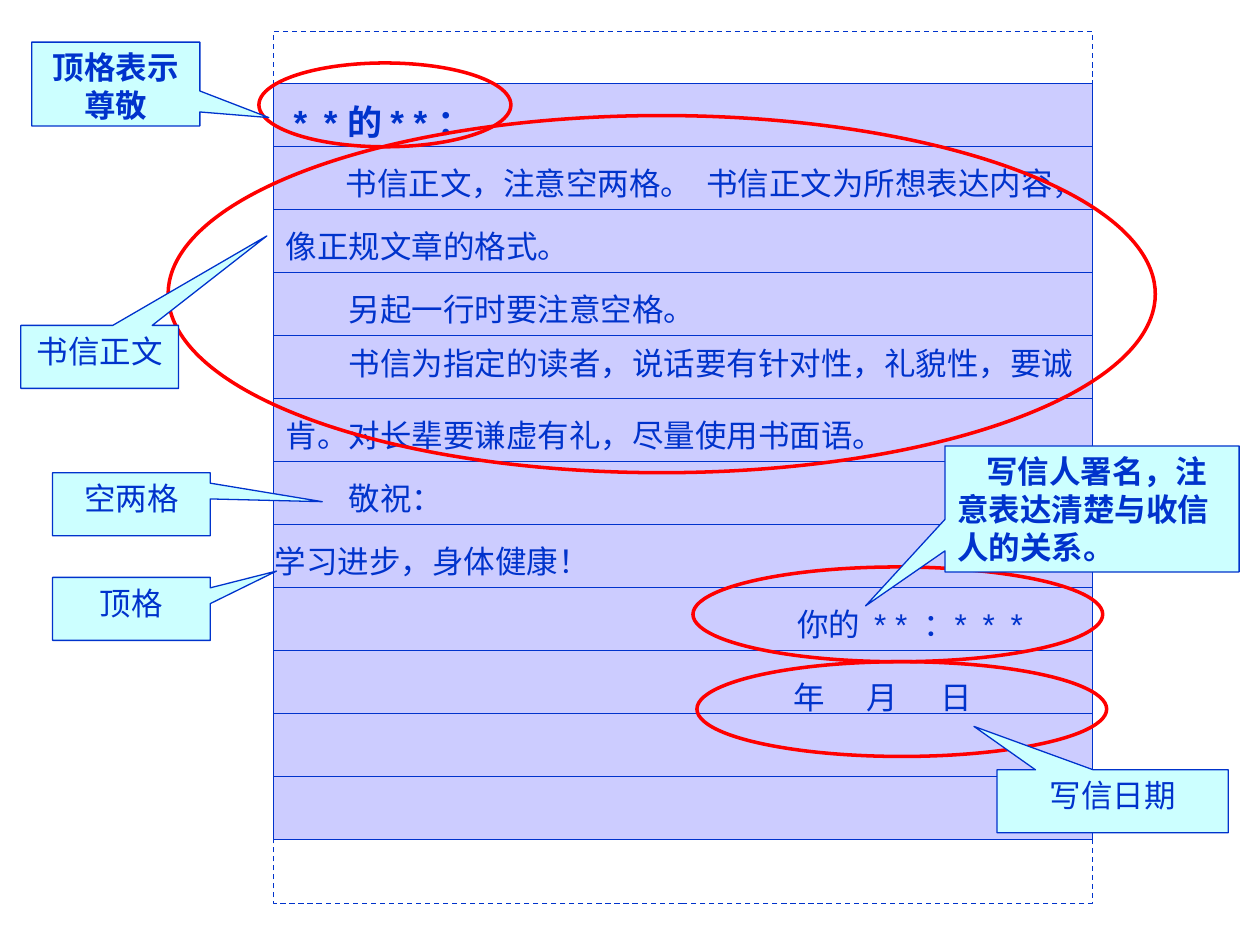
from itertools import zip_longest

from pptx import Presentation
from pptx.dml.color import RGBColor
from pptx.enum.dml import MSO_LINE_DASH_STYLE as Dash
from pptx.enum.shapes import MSO_SHAPE as Shape
from pptx.enum.text import MSO_ANCHOR as Anchor, MSO_AUTO_SIZE as AutoSize, PP_ALIGN as Align
from pptx.util import Cm, Pt

BLUE, RED, WHITE = "0033CC", "FF0000", "FFFFFF"
LILAC, CYAN = "CCCCFF", "CCFFFF"
PAPER_LEFT, PAPER_WIDTH = 5.51, 16.51
ROW_TOP, ROW_HEIGHT, ROW_COUNT = 1.69, 1.27, 12

# Letter lines: text, left, top, width, first-line indent (cm),
# then the extra width of each gap between words (pt)
LETTER_LINES = [
    ("书信正文，注意空两格。 书信正文为所想表达内容，", 6.14, 3.18, 15.98, 0.58, (4,)),
    ("像正规文章的格式。", 5.51, 4.45, 15.24, 0, ()),
    ("另起一行时要注意空格。", 6.35, 5.72, 15.24, 0.43, ()),
    ("书信为指定的读者，说话要有针对性，礼貌性，要诚", 6.35, 6.81, 16.36, 0.43, ()),
    ("肯。对长辈要谦虚有礼，尽量使用书面语。", 5.51, 8.26, 16.51, 0, ()),
    ("敬祝：", 6.35, 9.53, 3.38, 0.43, ()),
    ("学习进步，身体健康！", 5.29, 10.8, 7.62, 0, ()),
    ("你的 * * ：* * *", 15.82, 12.07, 6.27, 0, (4, 0, 4, 4, 4)),
    ("年 月 日", 14.61, 13.55, 7.29, 1.13, (20, 20)),
]

# Red rings: left, top, width, height (cm)
RINGS = [
    (5.22, 1.27, 5.08, 1.69),
    (3.39, 2.33, 19.9, 7.2),
    (13.97, 11.43, 8.26, 1.91),
    (14.05, 13.34, 8.26, 1.91),
]

# Callouts: text, box (cm), pointer offset, bold, alignment, first-line indent
CALLOUTS = [
    ("顶格表示尊敬", (0.64, 0.85, 3.39, 1.69), (0.91, 0.4), True, Align.CENTER, 0),
    ("书信正文", (0.42, 6.56, 3.18, 1.27), (1.06, -1.92), False, Align.CENTER, 0),
    ("空两格", (1.06, 9.53, 3.18, 1.27), (1.21, -0.04), False, Align.CENTER, 0),
    ("顶格", (1.06, 11.64, 3.18, 1.27), (0.92, -0.6), False, Align.CENTER, 0),
    ("写信人署名，注意表达清楚与收信人的关系。", (19.05, 8.99, 5.93, 2.54),
     (-0.77, 0.77), True, Align.LEFT, 0.58),
    ("写信日期", (20.1, 15.52, 4.66, 1.27), (-0.6, -1.19), False, Align.CENTER, 0),
]


def color(hex_string):
    return RGBColor.from_string(hex_string)


def add_outlined(shapes, kind, box, fill, line, width=0.75):
    shape = shapes.add_shape(kind, *map(Cm, box))
    shape.shadow.inherit = False
    if fill:
        shape.fill.solid()
        shape.fill.fore_color.rgb = color(fill)
    else:
        shape.fill.background()
    shape.line.color.rgb = color(line)
    shape.line.width = Pt(width)
    return shape


def add_words(paragraph, text, gaps):
    """Add the words, widening each space by its gap through character spacing."""
    for word, gap in zip_longest(text.split(" "), gaps):
        paragraph.add_run().text = word
        if gap is not None:
            space = paragraph.add_run()
            space.text = " "
            space._r.get_or_add_rPr().set("spc", str(gap * 100))


def write_text(shape, text, size=18, bold=False, align=Align.LEFT, indent=0, gaps=(), before=0):
    frame = shape.text_frame
    frame.word_wrap = True
    frame.vertical_anchor = Anchor.TOP
    paragraph = frame.paragraphs[0]
    add_words(paragraph, text, gaps)
    paragraph.alignment = align
    paragraph.space_before = Pt(before)
    properties = paragraph._p.get_or_add_pPr()
    properties.set("marL", "0")
    properties.set("indent", str(Cm(indent)))
    font = paragraph.font
    font.name = "Arial"
    font.size = Pt(size)
    font.bold = bold
    font.color.rgb = color(BLUE)


def add_line_text(slide, text, left, top, width, indent, gaps, size=18, bold=False):
    box = slide.shapes.add_textbox(Cm(left), Cm(top), Cm(width), Cm(1.02))
    write_text(box, text, size, bold, indent=indent, gaps=gaps, before=size * 0.625)
    box.text_frame.auto_size = AutoSize.SHAPE_TO_FIT_TEXT


def add_paper(slide):
    shapes = slide.shapes.add_group_shape().shapes
    sheet = add_outlined(shapes, Shape.RECTANGLE, (PAPER_LEFT, 0.64, PAPER_WIDTH, 17.57), WHITE, BLUE)
    sheet.line.dash_style = Dash.DASH
    for row in range(ROW_COUNT):
        top = ROW_TOP + row * ROW_HEIGHT
        add_outlined(shapes, Shape.RECTANGLE, (PAPER_LEFT, top, PAPER_WIDTH, ROW_HEIGHT), LILAC, BLUE)


def add_callout(slide, text, box, pointer, bold, align, indent):
    callout = add_outlined(slide.shapes, Shape.RECTANGULAR_CALLOUT, box, CYAN, BLUE)
    callout.adjustments[0], callout.adjustments[1] = pointer
    write_text(callout, text, bold=bold, align=align, indent=indent)


def main():
    presentation = Presentation()
    presentation.slide_width, presentation.slide_height = Cm(25.4), Cm(19.05)
    slide = presentation.slides.add_slide(presentation.slide_layouts[6])

    # Ruled letter paper
    add_paper(slide)

    # Salutation and letter text
    add_line_text(slide, "* * 的 * * ：", 5.51, 1.91, 4.6, 0.16,
                  (4, 0, 0, 0, 0), size=20, bold=True)
    for line in LETTER_LINES:
        add_line_text(slide, *line)

    # Rings around the parts of the letter
    for ring in RINGS:
        add_outlined(slide.shapes, Shape.OVAL, ring, None, RED, 2)

    # Explanations
    for callout in CALLOUTS:
        add_callout(slide, *callout)

    presentation.save("out.pptx")


if __name__ == "__main__":
    main()
